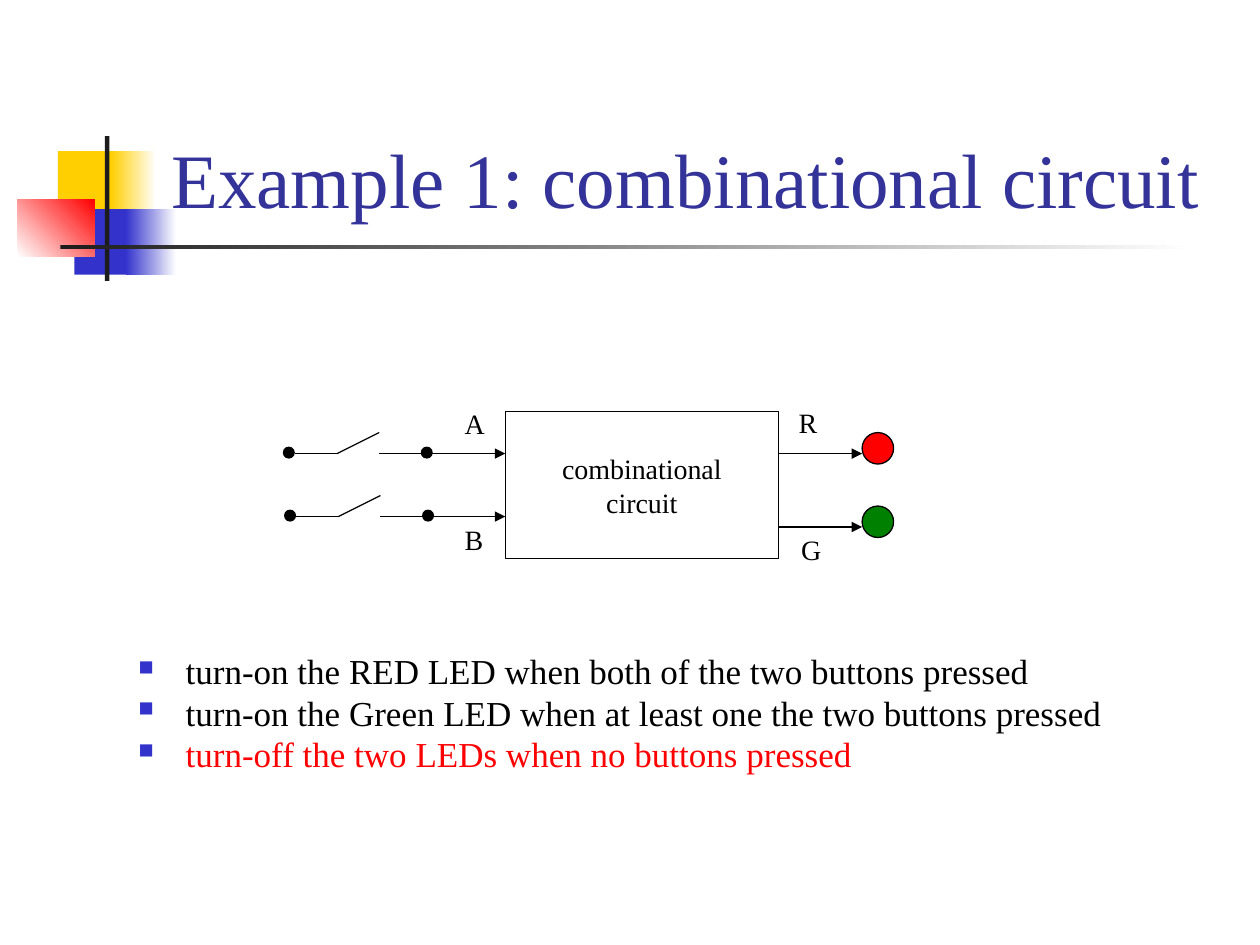
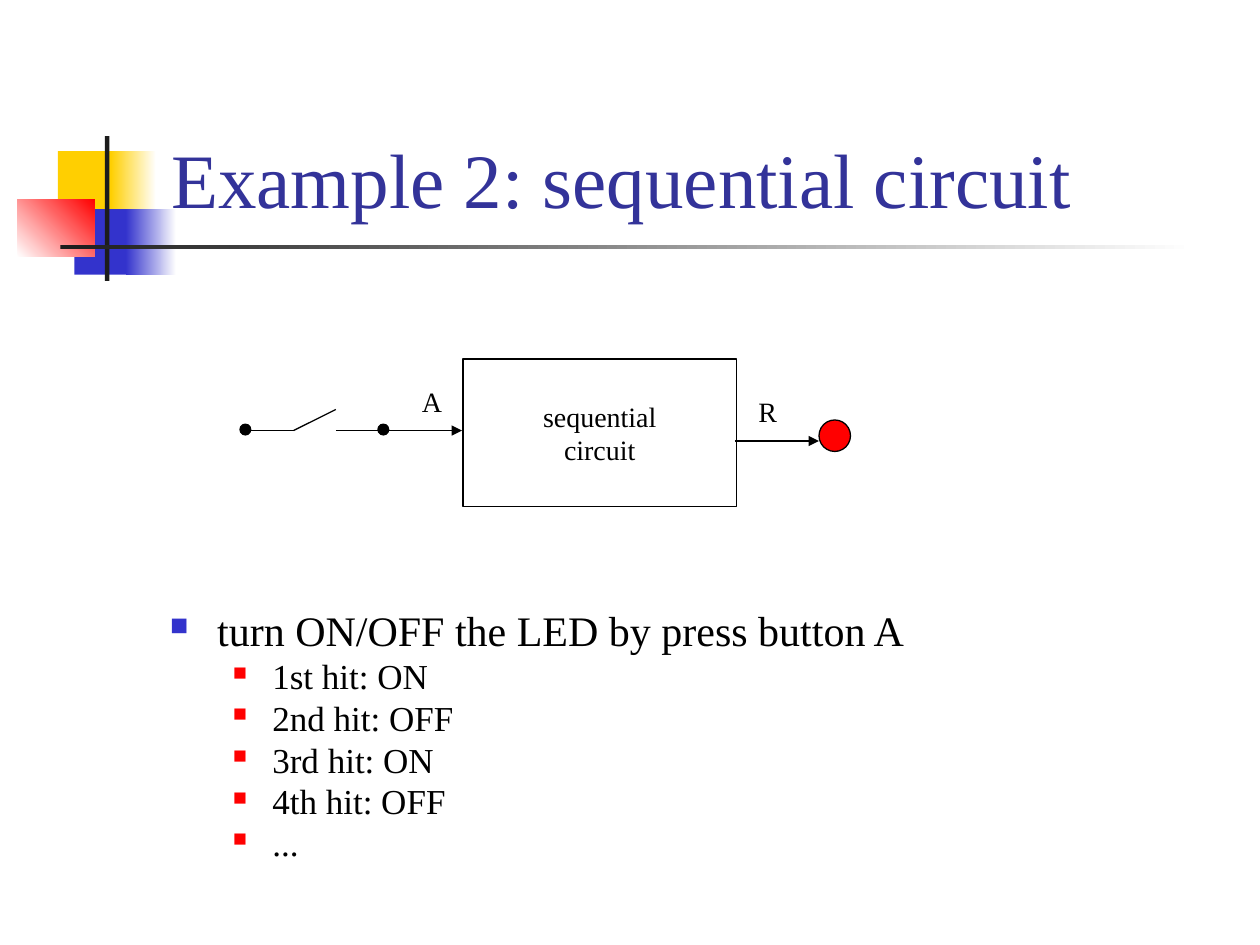
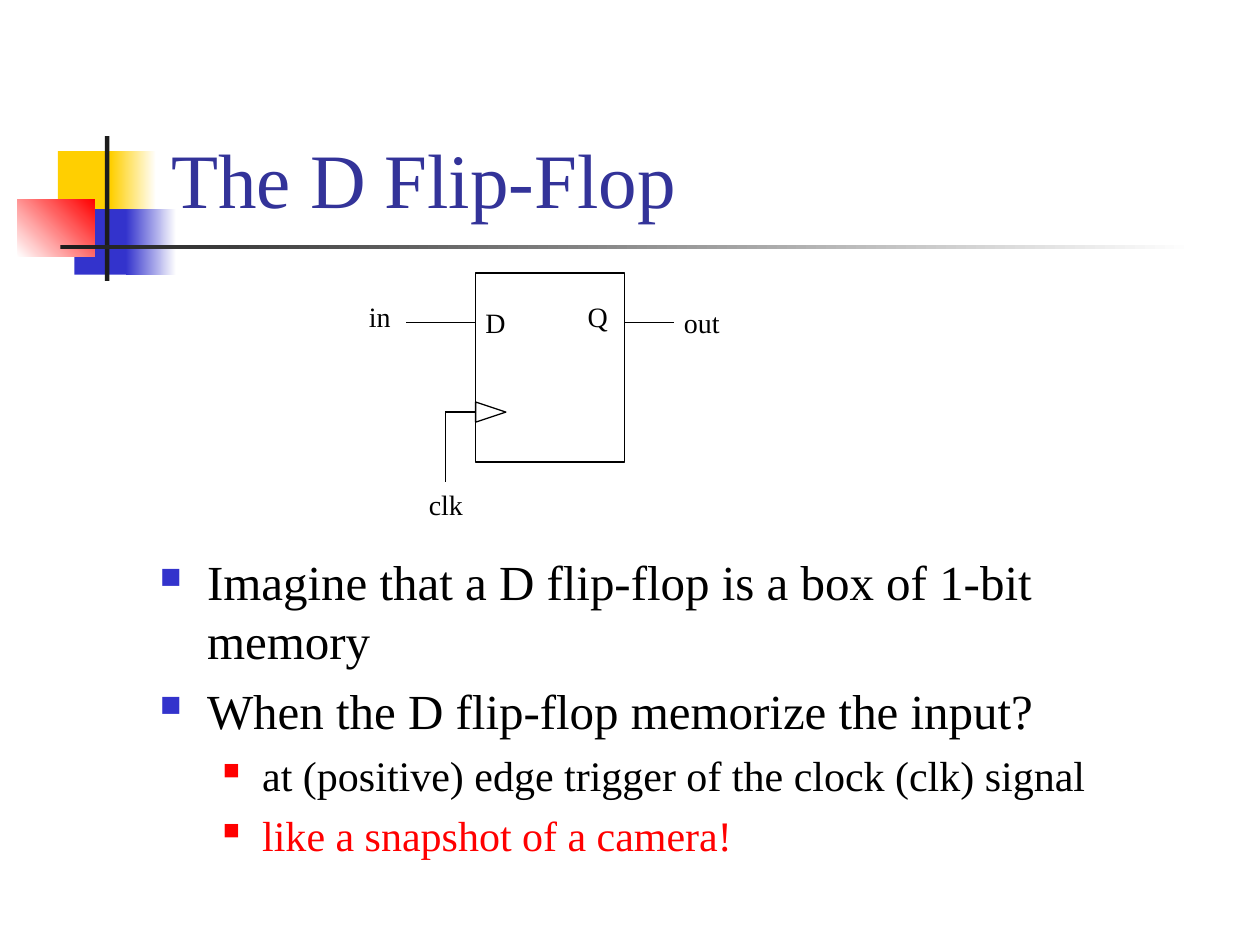
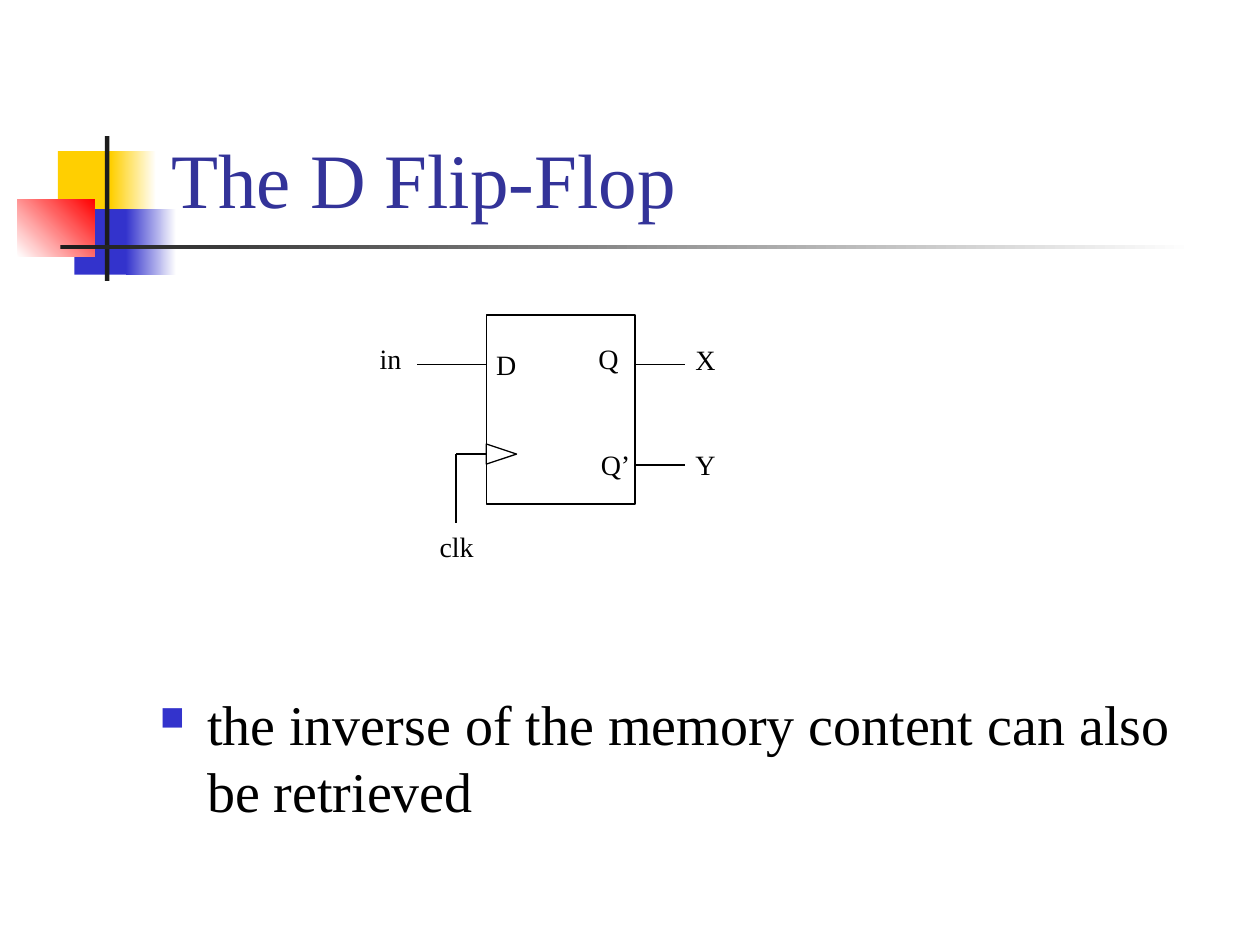
"""Four slides on combinational and sequential circuits and the D flip-flop."""
from lxml import etree
from pptx import Presentation
from pptx import util as u
from pptx.dml.color import RGBColor
from pptx.enum import shapes, text
from pptx.oxml.ns import qn

COLORS = {"black": "000000", "white": "FFFFFF", "red": "FF0000", "green": "008000",
          "blue": "3333CC", "yellow": "FFCF01", "title": "333399", "bar": "1C1C1C"}
FONT = "Times New Roman"
COLUMNS, ROWS = 100, 75
LABEL_SIZE = 16
LEVELS = [  # left margin, hanging indent (columns), bullet colour, bullet size (%)
    (3.75, 3.75, "blue", 60),
    (8.13, 3.13, "red", 55),
]
RECT, OVAL = shapes.MSO_SHAPE.RECTANGLE, shapes.MSO_SHAPE.OVAL
TRIANGLE = shapes.MSO_SHAPE.ISOSCELES_TRIANGLE
DECORATION = [  # box, colour at the start, colour at the end, angle
    ((4.6, 12, 4.8, 5.2), "yellow", None, 0),
    ((8.8, 12, 3.6, 5.2), "yellow", "white", 0),
    ((5.9, 16.6, 4.6, 5.2), "blue", None, 0),
    ((10, 16.6, 4, 5.2), "blue", "white", 0),
    ((1.4, 15.8, 6.1, 4.6), "white", "red", 45),
    ((8.33, 10.8, 0.35, 11.5), "bar", None, 0),
    ((4.8, 19.45, 90, 0.35), "bar", "white", 0),
]


def rgb(name):
    """Look up a colour of the deck."""
    return RGBColor.from_string(COLORS[name])


def add_xml(parent, tag, **attributes):
    """Append a DrawingML element."""
    return etree.SubElement(parent, qn(tag), attributes)


class Deck:
    """Holds the style and the current slide; lengths are columns and rows."""

    def __init__(self):
        """Start an empty 4:3 presentation."""
        self.prs = Presentation()
        self.prs.slide_width, self.prs.slide_height = u.Inches(10), u.Inches(7.5)
        self.s = None

    def x(self, columns):
        """Turn columns into a length."""
        return u.Emu(round(self.prs.slide_width * columns / COLUMNS))

    def y(self, rows):
        """Turn rows into a length."""
        return u.Emu(round(self.prs.slide_height * rows / ROWS))

    def box(self, left, top, width, height):
        """Turn a grid box into lengths."""
        return self.x(left), self.y(top), self.x(width), self.y(height)

    def slide(self, title):
        """Add a slide with the shared decoration and a title."""
        self.s = self.prs.slides.add_slide(self.prs.slide_layouts[6])
        for box, start, end, angle in DECORATION:
            self.shape(RECT, *box, fill=start, fade=end, angle=angle, line=None)
        tf = self.text_frame(12.6, 2.3, 85.2, 16)
        tf.vertical_anchor = text.MSO_ANCHOR.BOTTOM
        self.set_text(tf.paragraphs[0], title, 44, "title")

    def set_text(self, p, words, size, color="black"):
        """Fill a paragraph with styled text."""
        p.text = words
        p.font.name, p.font.size = FONT, u.Pt(size)
        p.font.color.rgb = rgb(color)

    def text_frame(self, left, top, width, height, wrap=True):
        """Add a text box and return its frame."""
        tf = self.s.shapes.add_textbox(*self.box(left, top, width, height)).text_frame
        tf.word_wrap = wrap
        return tf

    def label(self, words, left, top, width=3.6):
        """Add a short label."""
        tf = self.text_frame(left, top, width, 3.7, wrap=False)
        self.set_text(tf.paragraphs[0], words, LABEL_SIZE)

    def bullets(self, left, top, height, items, spacing=1.0):
        """Add a list of (text, level, size, colour) items."""
        tf = self.text_frame(left, top, 85, height)
        for i, (words, level, size, color) in enumerate(items):
            p = tf.add_paragraph() if i else tf.paragraphs[0]
            margin, hanging, bullet_color, percent = LEVELS[level]
            p.level, p.line_spacing = level, spacing
            p.space_before = u.Pt(round(size * 0.23, 1))
            pPr = p._p.get_or_add_pPr()
            pPr.set("marL", str(self.x(margin)))
            pPr.set("indent", str(-self.x(hanging)))
            add_xml(add_xml(pPr, "a:buClr"), "a:srgbClr", val=COLORS[bullet_color])
            add_xml(pPr, "a:buSzPct", val=str(percent * 1000))
            add_xml(pPr, "a:buChar", char="■")
            self.set_text(p, words, size, color)

    def shape(self, kind, left, top, width, height, fill=None, fade=None, angle=0,
              line="black"):
        """Add a preset shape, plain, filled or fading to a second colour."""
        sp = self.s.shapes.add_shape(kind, *self.box(left, top, width, height))
        sp.shadow.inherit = False
        if fade:
            sp.fill.gradient()
            sp.fill.gradient_angle = angle
            for stop, name in zip(sp.fill.gradient_stops, (fill, fade)):
                stop.color.rgb = rgb(name)
        elif fill:
            sp.fill.solid()
            sp.fill.fore_color.rgb = rgb(fill)
        else:
            sp.fill.background()
        if line:
            sp.line.color.rgb, sp.line.width = rgb(line), u.Pt(0.75)
        else:
            sp.line.fill.background()
        return sp

    def wire(self, x1, y1, x2, y2, arrow=False):
        """Add a thin line, with an arrowhead at its end if asked."""
        c = self.s.shapes.add_connector(shapes.MSO_CONNECTOR.STRAIGHT, self.x(x1),
                                        self.y(y1), self.x(x2), self.y(y2))
        c.line.color.rgb, c.line.width = rgb("black"), u.Pt(0.75)
        if arrow:
            add_xml(c.line._get_or_add_ln(), "a:tailEnd", type="triangle")
        add_xml(c._element.spPr, "a:effectLst")

    def circuit(self, left, top, *lines):
        """Add a circuit block with centred lines of text."""
        tf = self.shape(RECT, left, top, 21.7, 11.7).text_frame
        tf.word_wrap, tf.vertical_anchor = False, text.MSO_ANCHOR.MIDDLE
        for i, words in enumerate(lines):
            p = tf.add_paragraph() if i else tf.paragraphs[0]
            p.alignment = text.PP_ALIGN.CENTER
            self.set_text(p, words, LABEL_SIZE)

    def button(self, left, y, end):
        """Add an open switch whose arrow runs to the given column."""
        for dot in (left, left + 10.95):
            self.shape(OVAL, dot, y - 0.5, 0.85, 0.85, fill="black")
        self.wire(left + 0.9, y, left + 4.25, y)
        self.wire(left + 4.25, y, left + 7.6, y - 1.67)
        self.wire(left + 7.6, y, left + 10.95, y)
        self.wire(left + 11.8, y, end, y, arrow=True)

    def led(self, left, y, color):
        """Add an output arrow and its lamp."""
        self.wire(left, y, left + 6.67, y, arrow=True)
        self.shape(OVAL, left + 6.67, y - 1.67, 2.5, 2.5, fill=color)

    def flip_flop(self, left, top):
        """Add a D flip-flop with input, clock and one output wire."""
        self.shape(RECT, left, top, 11.8, 15)
        self.shape(TRIANGLE, left + 0.4, top + 9.84, 1.6, 2.4).rotation = 90
        right, y, clock = left + 11.8, top + 3.94, top + 11.04
        self.wire(right, y, right + 3.95, y)
        self.wire(left, y, left - 5.5, y)
        self.wire(left, clock, left - 2.4, clock)
        self.wire(left - 2.4, clock, left - 2.4, top + 16.55)
        self.label("D", left - 0.2, top + 2.1)
        self.label("Q", left + 7.9, top + 1.6)
        self.label("in", left - 9.45, top + 1.6, 3.8)
        self.label("clk", left - 4.7, top + 16.55, 4.7)


deck = Deck()

deck.slide("Example 1: combinational circuit")
deck.bullets(10, 51.7, 12.5, [
    ("turn-on the RED LED when both of the two buttons pressed", 0, 20, "black"),
    ("turn-on the Green LED when at least one the two buttons pressed", 0, 20, "black"),
    ("turn-off the two LEDs when no buttons pressed", 0, 20, "red"),
], spacing=0.8)
deck.circuit(40.1, 32.65, "combinational", "circuit")
deck.button(22.5, 36, 40.1)
deck.button(22.6, 41, 40.1)
deck.label("A", 35.9, 31.8)
deck.label("B", 35.9, 41)
deck.led(61.75, 36, "red")
deck.led(61.75, 41.83, "green")
deck.label("R", 62.4, 31.7)
deck.label("G", 62.6, 41.8)

deck.slide("Example 2: sequential circuit")
hits = ["1st hit: ON", "2nd hit: OFF", "3rd hit: ON", "4th hit: OFF", "..."]
deck.bullets(12.5, 48.3, 21.7,
             [("turn ON/OFF the LED by press button A", 0, 24, "black")]
             + [(hit, 1, 20, "black") for hit in hits], spacing=0.8)
deck.circuit(36.75, 28.5, "sequential", "circuit")
deck.button(19.05, 34.17, 36.67)
deck.label("A", 32.5, 30)
deck.led(58.33, 35, "red")
deck.label("R", 59.2, 30.8)

deck.slide("The D Flip-Flop")
deck.bullets(11.7, 43.3, 28.3, [
    ("Imagine that a D flip-flop is a box of 1-bit memory", 0, 28, "black"),
    ("When the D flip-flop memorize the input?", 0, 28, "black"),
    ("at (positive) edge trigger of the clock (clk) signal", 1, 24, "black"),
    ("like a snapshot of a camera!", 1, 24, "red"),
])
deck.flip_flop(37.75, 21.67)
deck.label("out", 53.3, 23.8, 4.9)

deck.slide("The D Flip-Flop")
deck.bullets(11.7, 54.2, 17.5, [
    ("the inverse of the memory content can also be retrieved", 0, 32, "black"),
])
deck.flip_flop(38.6, 25)
deck.label("X", 54.2, 26.7)
deck.label("Q’", 46.7, 35, 4.4)
deck.wire(50.4, 36.9, 54.35, 36.9)
deck.label("Y", 54.2, 35)

deck.prs.save("out.pptx")
